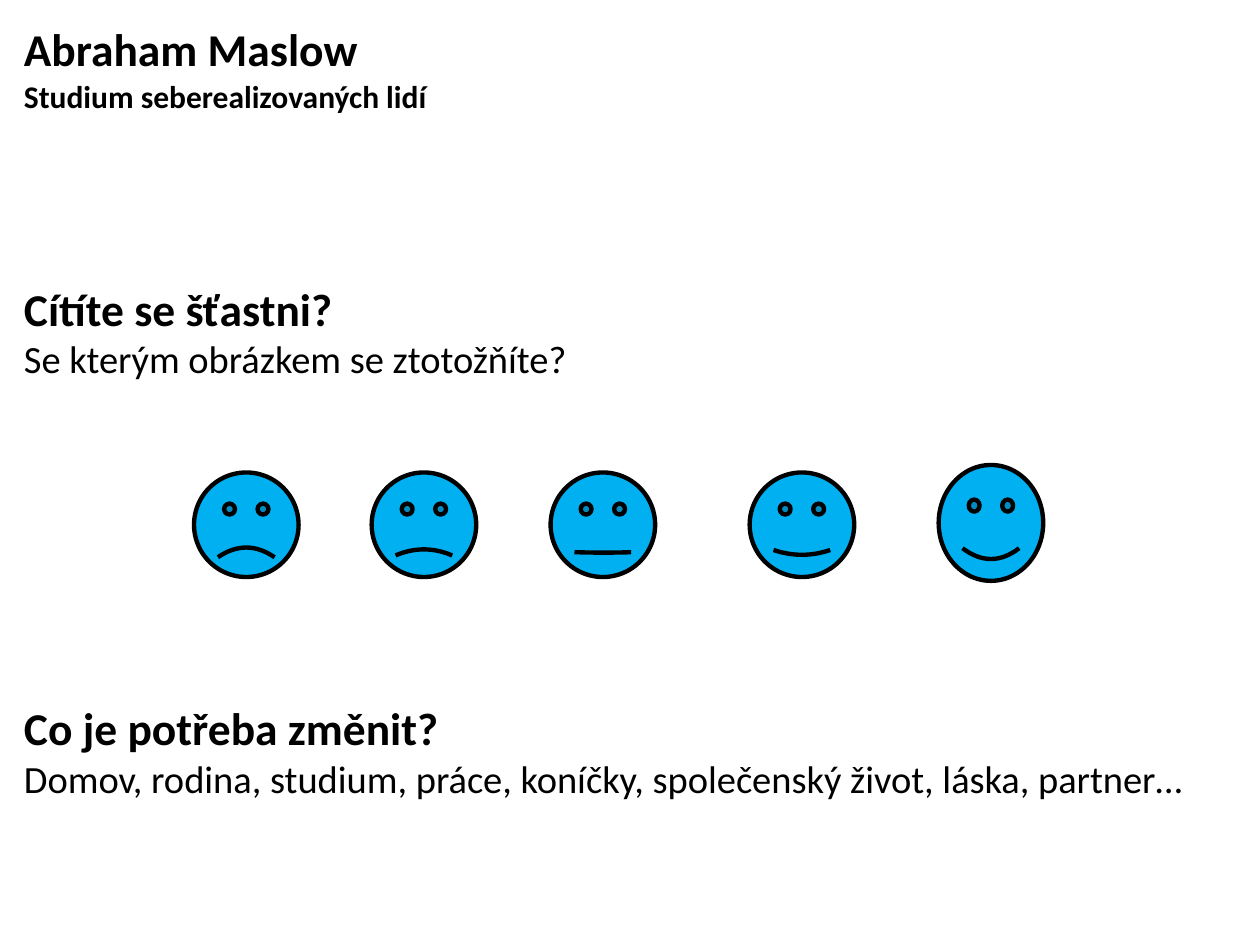
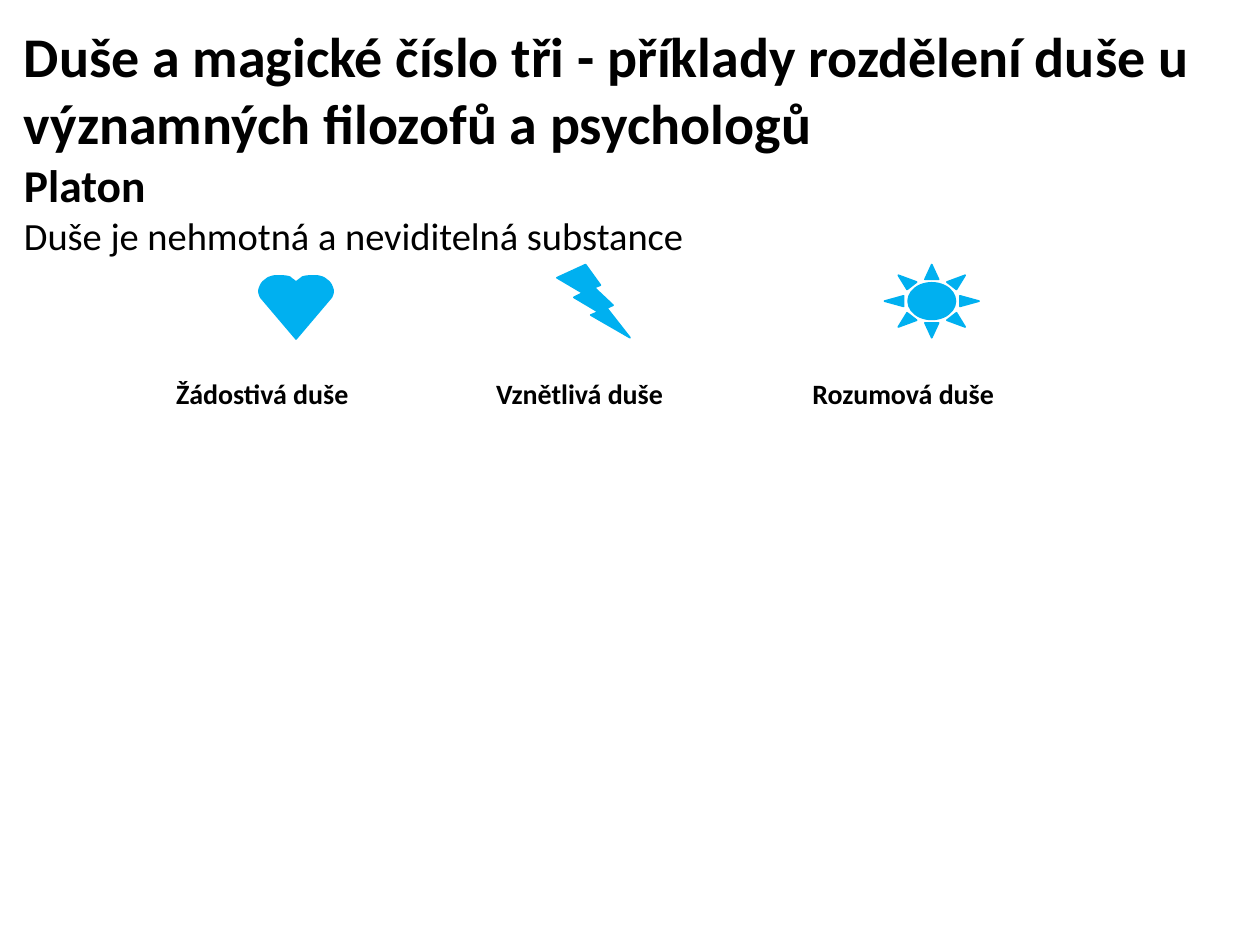
from pptx import Presentation
from pptx.dml.color import RGBColor
from pptx.enum.shapes import MSO_SHAPE
from pptx.enum.text import MSO_ANCHOR, MSO_AUTO_SIZE, PP_ALIGN
from pptx.util import Inches, Pt

FONT = "Calibri"
BLACK, SKY = "000000", "00B0F0"
MARGIN_LEFT, MARGIN_TOP, CONTENT_WIDTH = 0.19, 0.17, 9.65
TITLE_ONLY = 5
HEADING, BODY, LABEL = 26, 22, 16


def color(hex_code):
    return RGBColor.from_string(hex_code)


def write(paragraph, text, size=BODY, bold=False, before=0):
    paragraph.alignment = PP_ALIGN.LEFT
    paragraph.space_before = Pt(before)
    run = paragraph.add_run()
    run.text = text
    run.font.name = FONT
    run.font.size = Pt(size)
    run.font.bold = bold
    run.font.color.rgb = color(BLACK)


def curve(start, control_1, control_2, end, steps=8):
    """Points along a cubic curve, without its start."""
    points = []
    for step in range(1, steps + 1):
        t = step / steps
        weights = ((1 - t) ** 3, 3 * t * (1 - t) ** 2, 3 * t * t * (1 - t), t ** 3)
        corners = (start, control_1, control_2, end)
        points.append(tuple(sum(w * c[axis] for w, c in zip(weights, corners))
                            for axis in (0, 1)))
    return points


class Deck:
    def __init__(self):
        self.presentation = Presentation()
        self.presentation.slide_width = Inches(10)
        self.presentation.slide_height = Inches(7.5)
        self.slide = None

    def add_slide(self, title, size, height):
        layout = self.presentation.slide_layouts[TITLE_ONLY]
        self.slide = self.presentation.slides.add_slide(layout)
        heading = self.slide.shapes.title
        heading.left, heading.top = Inches(MARGIN_LEFT), Inches(MARGIN_TOP)
        heading.width, heading.height = Inches(CONTENT_WIDTH), Inches(height)
        self.frame(heading.text_frame)
        write(heading.text_frame.paragraphs[0], title, size=size, bold=True)

    def frame(self, frame):
        frame.word_wrap = True
        frame.auto_size = MSO_AUTO_SIZE.NONE
        frame.vertical_anchor = MSO_ANCHOR.TOP
        frame.margin_left = frame.margin_right = 0
        frame.margin_top = frame.margin_bottom = 0

    def body(self, top, height, lines):
        box = self.slide.shapes.add_textbox(
            Inches(MARGIN_LEFT), Inches(top), Inches(CONTENT_WIDTH), Inches(height))
        self.frame(box.text_frame)
        for index, (text, style) in enumerate(lines):
            paragraph = (box.text_frame.add_paragraph() if index
                         else box.text_frame.paragraphs[0])
            write(paragraph, text, **style)

    def label(self, text, left, top, width):
        box = self.slide.shapes.add_textbox(
            Inches(left), Inches(top), Inches(width), Inches(0.37))
        box.text_frame.word_wrap = False
        box.text_frame.auto_size = MSO_AUTO_SIZE.SHAPE_TO_FIT_TEXT
        write(box.text_frame.paragraphs[0], text, size=LABEL, bold=True)

    def paint(self, shape, line, weight):
        shape.shadow.inherit = False
        shape.fill.solid()
        shape.fill.fore_color.rgb = color(SKY)
        shape.line.color.rgb = color(line)
        shape.line.width = Pt(weight)

    def icon(self, kind, left, top, width, height, line=SKY, weight=1):
        shape = self.slide.shapes.add_shape(
            kind, Inches(left), Inches(top), Inches(width), Inches(height))
        self.paint(shape, line, weight)
        return shape

    def face(self, left, top, height, smile):
        face = self.icon(MSO_SHAPE.SMILEY_FACE, left, top, 0.83, height, BLACK, 2.5)
        face.adjustments[0] = smile

    def heart(self, center, notch, tip):
        # Left half from notch to side, as offsets from the notch; then mirrored
        lobe = [(0, 0), (-0.01, -0.01), (-0.04, -0.03), (-0.05, -0.04),
                (-0.08, -0.05), (-0.12, -0.05), (-0.15, -0.05),
                (-0.18, -0.05), (-0.22, -0.04), (-0.24, -0.02),
                (-0.27, 0), (-0.28, 0.02), (-0.29, 0.05),
                (-0.3, 0.07), (-0.29, 0.1), (-0.28, 0.12)]
        left_side = [lobe[0]]
        for first in range(0, len(lobe) - 1, 3):
            left_side += curve(*lobe[first:first + 4])
        right_side = [(-x, y) for x, y in reversed(left_side)]
        outline = [(Inches(center + x), Inches(notch + y))
                   for x, y in left_side + [(0, tip - notch)] + right_side]
        builder = self.slide.shapes.build_freeform(*outline[0])
        builder.add_line_segments(outline[1:], close=True)
        self.paint(builder.convert_to_shape(), SKY, 1)


def build_maslow(deck):
    deck.add_slide("Abraham Maslow", HEADING, 0.44)
    deck.body(0.61, 6.71, [
        ("Studium seberealizovaných lidí", dict(size=18, bold=True)),
        ("Cítíte se šťastni?", dict(size=HEADING, bold=True, before=95)),
        ("Se kterým obrázkem se ztotožňíte?", {}),
        ("Co je potřeba změnit?", dict(size=HEADING, bold=True, before=182)),
        ("Domov, rodina, studium, práce, koníčky, společenský život, láska, partner…", {}),
    ])
    # Scale of moods, from sad to happy
    for left, smile in ((1.54, -0.047), (2.95, -0.029), (4.37, 0.002), (5.95, 0.023)):
        deck.face(left, 3.75, 0.83, smile)
    deck.face(7.45, 3.69, 0.92, 0.047)


def build_soul(deck):
    deck.add_slide("Duše a magické číslo tři - příklady rozdělení duše u "
                   "významných filozofů a psychologů", 32, 1.08)
    deck.body(1.25, 0.82, [
        ("Platon", dict(size=HEADING, bold=True)),
        ("Duše je nehmotná a neviditelná substance", {}),
    ])
    # Three parts of the soul
    deck.heart(center=2.35, notch=2.24, tip=2.69)
    deck.icon(MSO_SHAPE.LIGHTNING_BOLT, 4.42, 2.1, 0.58, 0.58)
    deck.icon(MSO_SHAPE.SUN, 7.02, 2.1, 0.75, 0.58)
    for soul, left, width in (("Žádostivá duše", 1.3, 1.59),
                              ("Vznětlivá duše", 3.84, 1.54),
                              ("Rozumová duše", 6.35, 1.66)):
        deck.label(soul, left, 2.94, width)


def main():
    deck = Deck()
    build_maslow(deck)
    build_soul(deck)
    deck.presentation.save("out.pptx")


if __name__ == "__main__":
    main()
